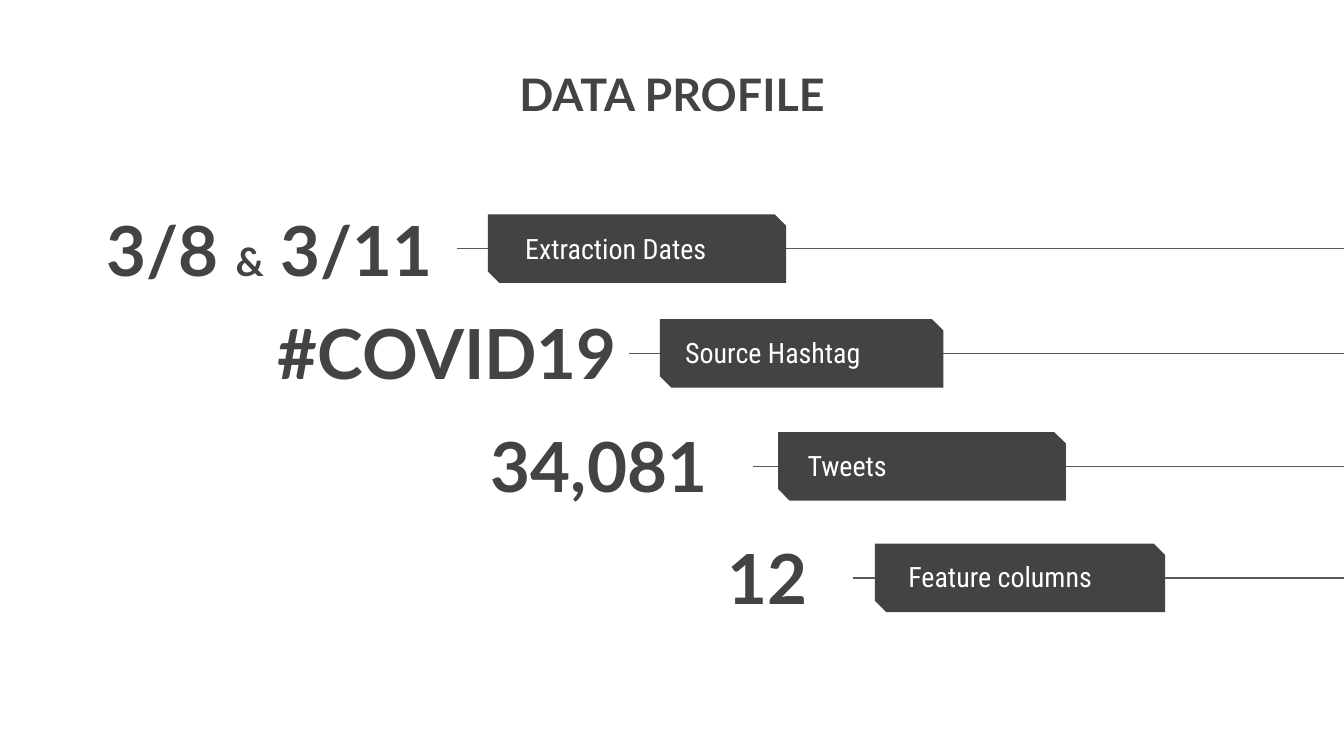
from lxml import etree
from pptx import Presentation
from pptx.dml.color import RGBColor
from pptx.enum.shapes import MSO_CONNECTOR, MSO_SHAPE
from pptx.enum.text import MSO_ANCHOR, MSO_AUTO_SIZE, PP_ALIGN
from pptx.oxml.ns import qn
from pptx.util import Inches, Pt

CHARCOAL = RGBColor(0x43, 0x43, 0x43)
LINE_GRAY = RGBColor(0x59, 0x59, 0x59)
WHITE = RGBColor(0xFF, 0xFF, 0xFF)
SLIDE_WIDTH = 10
SLIDE_HEIGHT = SLIDE_WIDTH * 9 / 16
TAG_HEIGHT, NUMBER_HEIGHT, LABEL_HEIGHT = 0.51, 0.83, 0.37


def write(box, spans, font_name, color, align, anchor, bold=False):
    """Fill a box with one paragraph of (text, size) spans."""
    frame = box.text_frame
    frame.word_wrap = True
    frame.auto_size = MSO_AUTO_SIZE.NONE
    frame.vertical_anchor = anchor
    frame.margin_left = frame.margin_right = Inches(0.1)
    frame.margin_top = frame.margin_bottom = Inches(0.1)
    para = frame.paragraphs[0]
    para.alignment = align
    for text, size in spans:
        span = para.add_run()
        span.text = text
        span.font.name = font_name
        span.font.size = Pt(size)
        span.font.bold = bold
        span.font.color.rgb = color


def area(left, middle, width, height):
    """Placement of a box centred vertically on a row."""
    return [Inches(n) for n in (left, middle - height / 2, width, height)]


deck = Presentation()
deck.slide_width = Inches(SLIDE_WIDTH)
deck.slide_height = Inches(SLIDE_HEIGHT)
page = deck.slides.add_slide(deck.slide_layouts[5])
page.background.fill.solid()
page.background.fill.fore_color.rgb = WHITE

title = page.shapes.title
title.left, title.top, title.width, title.height = area(2.15, 0.91, 5.7, 1.03)
write(title, [("DATA PROFILE", 24)], "Lato", CHARCOAL,
      PP_ALIGN.CENTER, MSO_ANCHOR.TOP, bold=True)

# line and tag middle, text middle, line start,
# (left, width) of tag, number and label, then number and label text
rows = [
    (1.85, 1.85, 3.4, (3.63, 2.22), (0, 3.32), (3.81, 3.57),
     [("3/8 ", 37), ("&", 21), (" 3/11", 37)], "Extraction Dates"),
    (2.63, 2.62, 4.68, (4.91, 2.11), (0.07, 4.62), (5, 1.93),
     [("#COVID19", 37)], "Source Hashtag"),
    (3.47, 3.46, 5.6, (5.79, 2.14), (1.91, 3.45), (5.91, 2.11),
     [("34,081", 37)], "Tweets"),
    (4.3, 4.29, 6.35, (6.51, 2.16), (4.18, 1.93), (6.66, 2.11),
     [("12", 37)], "Feature columns"),
]

for middle, text_middle, line_start, tag_span, number_span, label_span, number, label in rows:
    line = page.shapes.add_connector(
        MSO_CONNECTOR.STRAIGHT, Inches(SLIDE_WIDTH), Inches(middle),
        Inches(line_start), Inches(middle))
    line.line.color.rgb = LINE_GRAY
    line.line.width = Pt(0.75)
    etree.SubElement(line.element.spPr, qn("a:effectLst"))

    tag = page.shapes.add_shape(
        MSO_SHAPE.SNIP_2_DIAG_RECTANGLE,
        *area(tag_span[0], middle, tag_span[1], TAG_HEIGHT))
    tag.adjustments[0] = 0
    tag.adjustments[1] = 0.167
    tag.shadow.inherit = False
    tag.fill.solid()
    tag.fill.fore_color.rgb = CHARCOAL
    tag.line.fill.background()

    number_box = page.shapes.add_textbox(
        *area(number_span[0], text_middle, number_span[1], NUMBER_HEIGHT))
    write(number_box, number, "Lato", CHARCOAL,
          PP_ALIGN.RIGHT, MSO_ANCHOR.MIDDLE, bold=True)

    label_box = page.shapes.add_textbox(
        *area(label_span[0], text_middle, label_span[1], LABEL_HEIGHT))
    write(label_box, [(label, 15)], "Roboto Condensed", WHITE,
          PP_ALIGN.LEFT, MSO_ANCHOR.MIDDLE)

deck.save("out.pptx")
